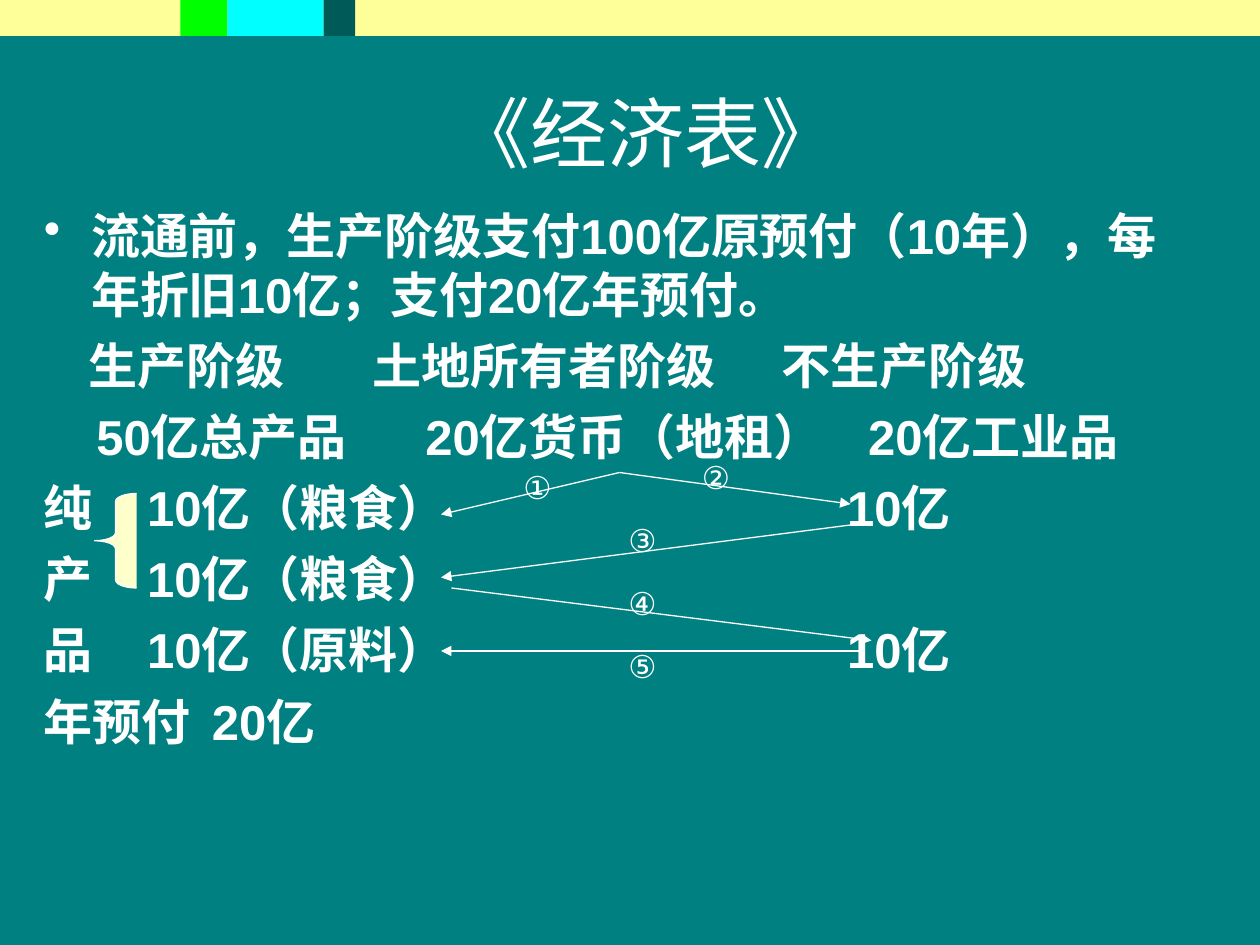
"""Builds the 《经济表》 slide showing circulation between the three classes."""
from dataclasses import dataclass
from typing import NamedTuple

from lxml.etree import SubElement
from pptx import Presentation
from pptx.dml.color import RGBColor as RGB
from pptx.enum.shapes import MSO_CONNECTOR as CONN, MSO_SHAPE as SHAPE
from pptx.enum.text import MSO_ANCHOR as ANCHOR, PP_ALIGN as ALIGN
from pptx.oxml.ns import qn
from pptx.util import Pt


@dataclass(frozen=True)
class Theme:
    font: str = "Arial"
    title: float = 44
    body: float = 28
    label: float = 18
    line: float = 0.75
    gap: float = 7
    back: RGB = RGB(0x00, 0x80, 0x80)
    text: RGB = RGB(0xFF, 0xFF, 0xFF)
    brace: RGB = RGB(0xFF, 0xFF, 0xCC)


class Band(NamedTuple):
    left: float
    width: float
    color: str


class Row(NamedTuple):
    text: str
    tabs: tuple[float, ...] = ()
    bullet: bool = False


class Arrow(NamedTuple):
    x1: float
    y1: float
    x2: float
    y2: float


class Label(NamedTuple):
    text: str
    left: float
    top: float


THEME = Theme()
BAND_HEIGHT = 20.5
INDENT = 27
BANDS = [
    Band(0, 720, "FFFF99"),
    Band(103, 27, "00FF00"),
    Band(130, 55, "00FFFF"),
    Band(185, 18, "005A58"),
]
ITEM_TABS = (59, 459)
ROWS = [
    Row("流通前，生产阶级支付100亿原预付（10年），每年折旧10亿；支付20亿年预付。", bullet=True),
    Row("\t生产阶级\t土地所有者阶级\t不生产阶级", (25.5, 188, 421.5)),
    Row("\t50亿总产品\t20亿货币（地租）\t20亿工业品", (30, 218, 471)),
    Row("纯\t10亿（粮食）\t10亿", ITEM_TABS),
    Row("产\t10亿（粮食）", ITEM_TABS),
    Row("品\t10亿（原料）\t10亿", ITEM_TABS),
    Row("年预付\t20亿", (96,)),
]
ARROWS = [
    Arrow(354, 270, 252, 294),
    Arrow(354, 270, 486, 288),
    Arrow(486, 300, 252, 330),
    Arrow(258, 336, 498, 366),
    Arrow(492, 372, 252, 372),
]
LABELS = [
    Label("①", 292, 264),
    Label("②", 394, 258),
    Label("③", 352, 294),
    Label("④", 352, 330),
    Label("⑤", 352, 366),
]


def add_shape(s, kind: SHAPE, left: float, top: float, width: float, height: float, color: RGB):
    sp = s.shapes.add_shape(kind, Pt(left), Pt(top), Pt(width), Pt(height))
    sp.shadow.inherit = False
    sp.fill.solid()
    sp.fill.fore_color.rgb = color
    sp.line.fill.background()
    return sp


def add_box(s, left: float, top: float, width: float, height: float, wrap: bool = True):
    tf = s.shapes.add_textbox(Pt(left), Pt(top), Pt(width), Pt(height)).text_frame
    tf.word_wrap = wrap
    return tf


def style(p, size: float, bold: bool = False) -> None:
    for r in p.runs:
        r.font.name = THEME.font
        r.font.size = Pt(size)
        r.font.bold = bold
        r.font.color.rgb = THEME.text


def add_layout(p, row: Row) -> None:
    pPr = p._p.get_or_add_pPr()
    if row.bullet:
        pPr.set("marL", str(Pt(INDENT)))
        pPr.set("indent", str(-Pt(INDENT)))
        SubElement(pPr, qn("a:buChar"), char="•")
    if row.tabs:
        tabs = SubElement(pPr, qn("a:tabLst"))
        for pos in row.tabs:
            SubElement(tabs, qn("a:tab"), pos=str(Pt(pos)), algn="l")


def add_rows(s, rows: list[Row]) -> None:
    tf = add_box(s, 18, 114, 678, 378)
    for i, row in enumerate(rows):
        p = tf.add_paragraph() if i else tf.paragraphs[0]
        p.text = row.text
        add_layout(p, row)
        p.space_before = Pt(THEME.gap if i else 0)
        style(p, THEME.body, bold=True)


def add_arrow(s, arrow: Arrow) -> None:
    cx = s.shapes.add_connector(CONN.STRAIGHT, *map(Pt, arrow))
    cx.line.color.rgb = THEME.text
    cx.line.width = Pt(THEME.line)
    SubElement(cx.line._get_or_add_ln(), qn("a:tailEnd"), type="triangle")
    SubElement(cx._element.spPr, qn("a:effectLst"))


def add_label(s, label: Label) -> None:
    tf = add_box(s, label.left, label.top, 30, 29, wrap=False)
    tf.text = label.text
    style(tf.paragraphs[0], THEME.label)


def add_title(s, text: str) -> None:
    tf = add_box(s, 18, 30, 702, 90)
    tf.vertical_anchor = ANCHOR.MIDDLE
    tf.text = text
    p = tf.paragraphs[0]
    p.alignment = ALIGN.CENTER
    style(p, THEME.title)


def add_brace(s) -> None:
    sp = add_shape(s, SHAPE.LEFT_BRACE, 54, 282, 24, 54, THEME.brace)
    sp.adjustments[0] = 0.19
    sp.line.color.rgb = THEME.text
    sp.line.width = Pt(THEME.line)


def main() -> None:
    prs = Presentation()
    prs.slide_width, prs.slide_height = Pt(720), Pt(540)
    s = prs.slides.add_slide(prs.slide_layouts[6])
    s.background.fill.solid()
    s.background.fill.fore_color.rgb = THEME.back
    for band in BANDS:
        add_shape(s, SHAPE.RECTANGLE, band.left, 0, band.width, BAND_HEIGHT, RGB.from_string(band.color))
    add_title(s, "《经济表》")
    add_rows(s, ROWS)
    add_brace(s)
    for arrow in ARROWS:
        add_arrow(s, arrow)
    for label in LABELS:
        add_label(s, label)
    prs.save("out.pptx")


if __name__ == "__main__":
    main()
